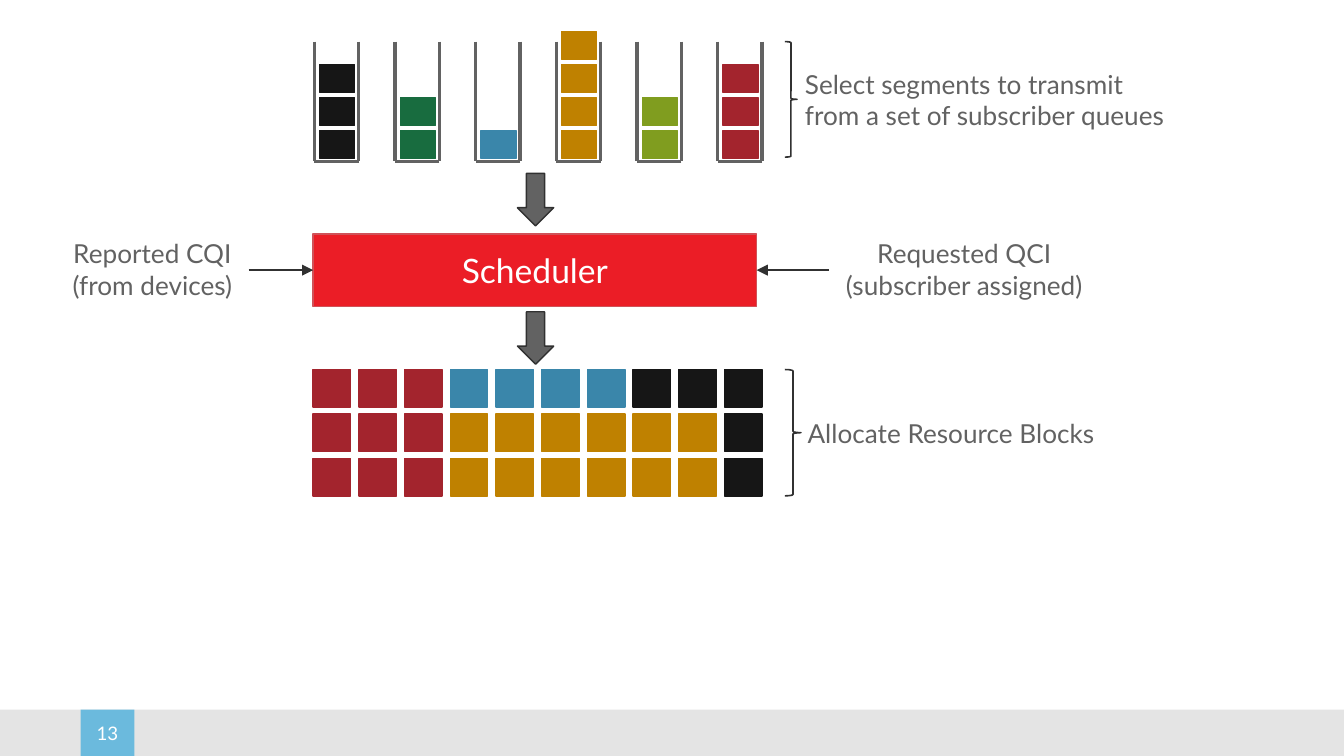
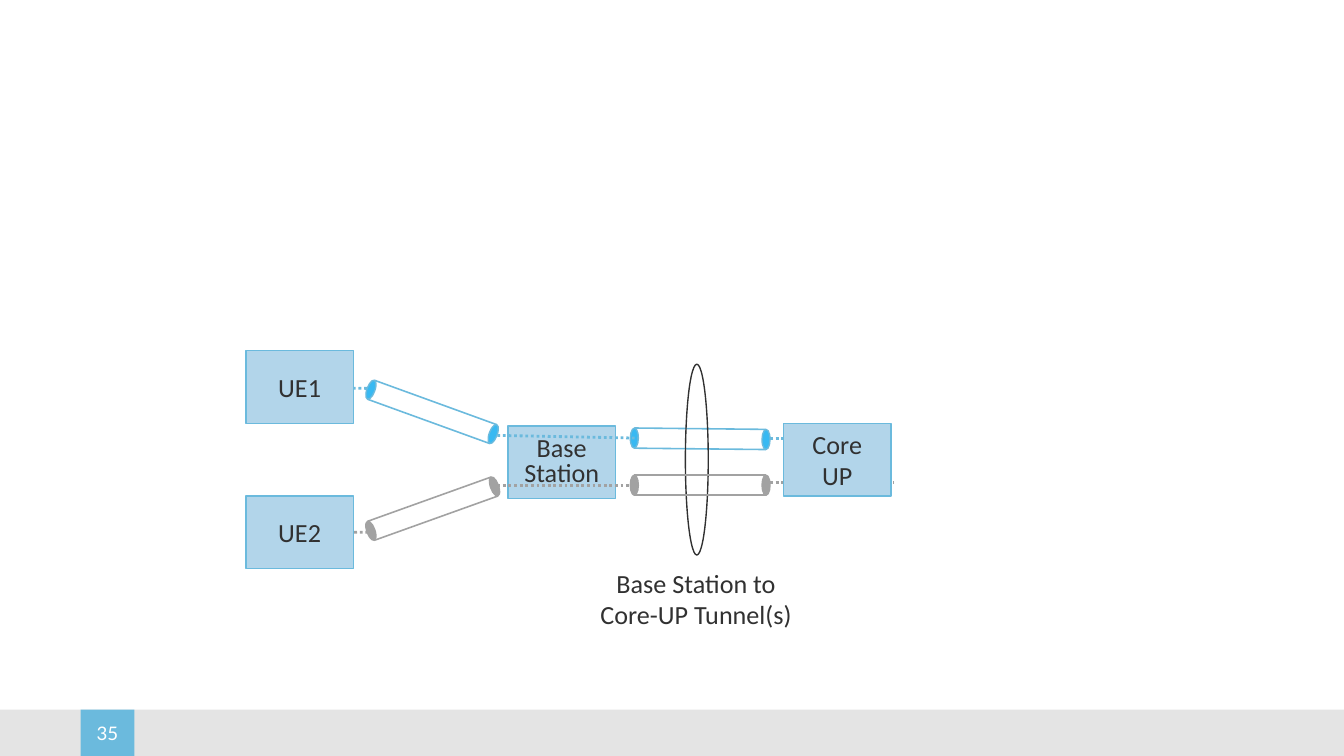
from math import atan2, cos, degrees, sin

from pptx import Presentation
from pptx.dml.color import RGBColor
from pptx.enum.dml import MSO_LINE as Dash
from pptx.enum.shapes import MSO_CONNECTOR as Connector, MSO_SHAPE as Shape
from pptx.enum.text import MSO_ANCHOR as Anchor, MSO_AUTO_SIZE as AutoSize, PP_ALIGN as Align
from pptx.oxml.ns import qn
from pptx.util import Inches, Pt
from lxml.etree import SubElement

COLORS = {
    "white": "FFFFFF", "band": "A6A6A6", "accent": "6BBADD",
    "ink": "313131", "gray": "626262",
    "scheduler": "EB1D26", "scheduler_edge": "D05258",
    "black": "161616", "green": "186C3F", "blue": "3A86AA",
    "gold": "BF8100", "lime": "809D1F", "red": "A3242D",
    "node": "B2D5EA", "tunnel_blue": "38B9F2", "tunnel_gray": "A2A2A2",
}
DIAGRAM_FONT = "Lato"
NODE_FONT = "Calibri"
SLIDE_WIDTH = Inches(10)
SLIDE_HEIGHT = SLIDE_WIDTH * 9 // 16

QUEUES = [("black", 3), ("green", 2), ("blue", 1), ("gold", 4), ("lime", 2), ("red", 3)]
BLOCK_ROWS = [
    ["red"] * 3 + ["blue"] * 4 + ["black"] * 3,
    ["red"] * 3 + ["gold"] * 6 + ["black"],
    ["red"] * 3 + ["gold"] * 6 + ["black"],
]


def rgb(name):
    return RGBColor.from_string(COLORS[name])


def write(shape, text, size=14, color="gray", font=DIAGRAM_FONT, align=Align.CENTER,
          anchor=Anchor.MIDDLE, wrap=True, spacing=None):
    """Fill a shape with one paragraph per line of text."""
    frame = shape.text_frame
    frame.word_wrap = wrap
    frame.vertical_anchor = anchor
    for index, line in enumerate(text.split("\n")):
        para = frame.add_paragraph() if index else frame.paragraphs[0]
        para.alignment = align
        if spacing:
            para.line_spacing = spacing
        span = para.add_run()
        span.text = line
        span.font.size = Pt(size)
        span.font.name = font
        span.font.color.rgb = rgb(color)


def add_label(page, box, text, **style):
    label = page.shapes.add_textbox(*map(Inches, box))
    write(label, text, **{"wrap": False, "anchor": Anchor.TOP, **style})
    label.text_frame.auto_size = AutoSize.SHAPE_TO_FIT_TEXT


def add_figure(shapes, kind, box, fill=None, line=None, weight=0.75, turn=0):
    figure = shapes.add_shape(kind, *map(Inches, box))
    figure.shadow.inherit = False
    figure.rotation = turn
    if fill:
        figure.fill.solid()
        figure.fill.fore_color.rgb = rgb(fill)
    else:
        figure.fill.background()
    if line:
        figure.line.color.rgb = rgb(line)
        figure.line.width = Pt(weight)
    else:
        figure.line.fill.background()
    return figure


def add_line(shapes, start, end, color, weight=0.85, dotted=False, arrow=False):
    link = shapes.add_connector(Connector.STRAIGHT, *map(Inches, start + end))
    link.line.color.rgb = rgb(color)
    link.line.width = Pt(weight)
    if dotted:
        link.line.dash_style = Dash.ROUND_DOT
    properties = link._element.spPr
    if arrow:
        SubElement(properties.find(qn("a:ln")), qn("a:tailEnd"), type="triangle")
    SubElement(properties, qn("a:effectLst"))


def add_footer(page, number):
    top, height = 5.28, 0.35
    band = add_figure(page.shapes, Shape.RECTANGLE, (0, top, 10, height), "band")
    tint = band._element.spPr.find(qn("a:solidFill"))[0]
    SubElement(tint, qn("a:alpha"), val="30000")
    badge = add_figure(page.shapes, Shape.RECTANGLE, (0.6, top, 0.4, height), "accent")
    write(badge, str(number), size=10, color="white", wrap=False)


def add_page(deck, number):
    page = deck.slides.add_slide(deck.slide_layouts[6])
    add_footer(page, number)
    return page


def add_scheduler(page, left, top, width, height):
    """Scheduler bar with the arrows above and below it and its two inputs."""
    bar = add_figure(page.shapes, Shape.RECTANGLE, (left, top, width, height),
                     "scheduler", "scheduler_edge")
    write(bar, "Scheduler", size=18, color="white")
    right, middle = left + width, top + height / 2
    label_top = middle - 0.29
    add_label(page, (right + 0.54, label_top, 2.01, 0.57),
              "Requested QCI\n(subscriber assigned)")
    add_label(page, (left - 1.91, label_top, 1.43, 0.57), "Reported CQI\n(from devices)")
    add_line(page.shapes, (right + 0.54, middle), (right, middle), "ink", arrow=True)
    add_line(page.shapes, (left - 0.48, middle), (left, middle), "ink", arrow=True)
    for arrow_top in (top - 0.45, top + height + 0.04):
        add_figure(page.shapes, Shape.DOWN_ARROW,
                   (left + width / 2 - 0.13, arrow_top, 0.27, 0.39), "gray", "ink")


def add_queue(page, left, top, color, count):
    width, height = 0.33, 0.89
    right, bottom = left + width, top + height
    frame = page.shapes.add_group_shape().shapes
    for start, end in (((left, top), (left, bottom)), ((right, top), (right, bottom)),
                       ((right, bottom), (left, bottom))):
        add_line(frame, start, end, "gray", weight=1.75)
    for level in range(count):
        add_figure(page.shapes, Shape.RECTANGLE,
                   (left + 0.04, bottom - 0.23 - 0.245 * level, 0.26, 0.21), color, color)


def add_queues(page, left, top):
    for index, (color, count) in enumerate(QUEUES):
        add_queue(page, left + 0.6 * index, top, color, count)
    add_figure(page.shapes, Shape.RIGHT_BRACE, (left + 3.5, top, 0.09, 0.86), line="ink",
               weight=0.85)
    add_label(page, (left + 3.55, top + 0.15, 3.01, 0.57),
              "Select segments to transmit\nfrom a set of subscriber queues",
              align=Align.LEFT, wrap=True)


def add_resource_blocks(page, left, top):
    grid = page.shapes.add_group_shape().shapes
    for row, colors in enumerate(BLOCK_ROWS):
        for column, color in enumerate(colors):
            add_figure(grid, Shape.RECTANGLE,
                       (left + 0.34 * column, top + 0.33 * row, 0.28, 0.28), color, color)
    add_figure(page.shapes, Shape.RIGHT_BRACE, (left + 3.51, top, 0.12, 0.94), line="ink",
               weight=0.85)
    add_label(page, (left + 3.58, top + 0.31, 2.41, 0.34), "Allocate Resource Blocks",
              align=Align.LEFT)


def add_scheduler_page(deck):
    page = add_page(deck, 13)
    add_scheduler(page, 2.33, 1.74, 3.3, 0.54)
    add_queues(page, 2.34, 0.31)
    add_resource_blocks(page, 2.33, 2.75)


def add_node(page, left, top, text, **style):
    node = add_figure(page.shapes, Shape.RECTANGLE, (left, top, 0.8, 0.54), "node", "accent")
    write(node, text, color="ink", font=NODE_FONT, **style)


def add_tunnel(page, start, end, fill, line):
    """Tube between two cap centres, its caps turned to face along it."""
    width, height = 0.06, 0.15
    angle = atan2(end[1] - start[1], end[0] - start[0])
    tube = page.shapes.add_group_shape().shapes
    for x, y in (start, end):
        add_figure(tube, Shape.OVAL, (x - width / 2, y - height / 2, width, height),
                   fill, line, turn=degrees(angle))
    for side in (-1, 1):
        shift_x, shift_y = -side * sin(angle) * height / 2, side * cos(angle) * height / 2
        add_line(tube, *((x + shift_x, y + shift_y) for x, y in (start, end)), line)


def add_user_plane(page, left, top):
    """Two devices tunnelled through the base station to the core."""
    def at(x, y):
        return left + x, top + y

    def dots(start, end, color):
        add_line(page.shapes, at(*start), at(*end), color, weight=1.5, dotted=True)

    blue, gray = ("tunnel_blue", "accent"), ("tunnel_gray", "tunnel_gray")
    dots((0.91, 1.35), (0, 1.36), "tunnel_gray")
    dots((0.9, 0.28), (0, 0.27), "accent")
    add_node(page, *at(1.95, 0.56), "Base\nStation", spacing=0.8)
    add_node(page, *at(0, 0), "UE1")
    add_node(page, *at(0, 1.08), "UE2")
    add_tunnel(page, at(0.93, 0.29), at(1.84, 0.62), *blue)
    add_tunnel(page, at(2.89, 0.65), at(3.87, 0.66), *blue)
    add_tunnel(page, at(0.93, 1.34), at(1.85, 1.01), *gray)
    dots((3.9, 0.65), (4.81, 0.65), "accent")
    dots((1.87, 0.63), (2.92, 0.65), "accent")
    dots((3.9, 0.98), (4.82, 0.98), "tunnel_gray")
    dots((1.87, 1), (2.92, 1), "tunnel_gray")
    add_figure(page.shapes, Shape.OVAL, (*at(3.27, 0.1), 0.17, 1.42), line="ink")
    add_label(page, (*at(2.53, 1.56), 1.64, 0.57), "Base Station to\nCore-UP Tunnel(s)",
              color="ink", font=NODE_FONT)
    add_node(page, *at(4, 0.54), "Core UP")
    add_tunnel(page, at(2.89, 1), at(3.87, 1), *gray)


def add_tunnel_page(deck):
    page = add_page(deck, 35)
    add_user_plane(page, 1.83, 2.61)


def main():
    deck = Presentation()
    deck.slide_width, deck.slide_height = SLIDE_WIDTH, SLIDE_HEIGHT
    add_scheduler_page(deck)
    add_tunnel_page(deck)
    deck.save("out.pptx")


if __name__ == "__main__":
    main()
